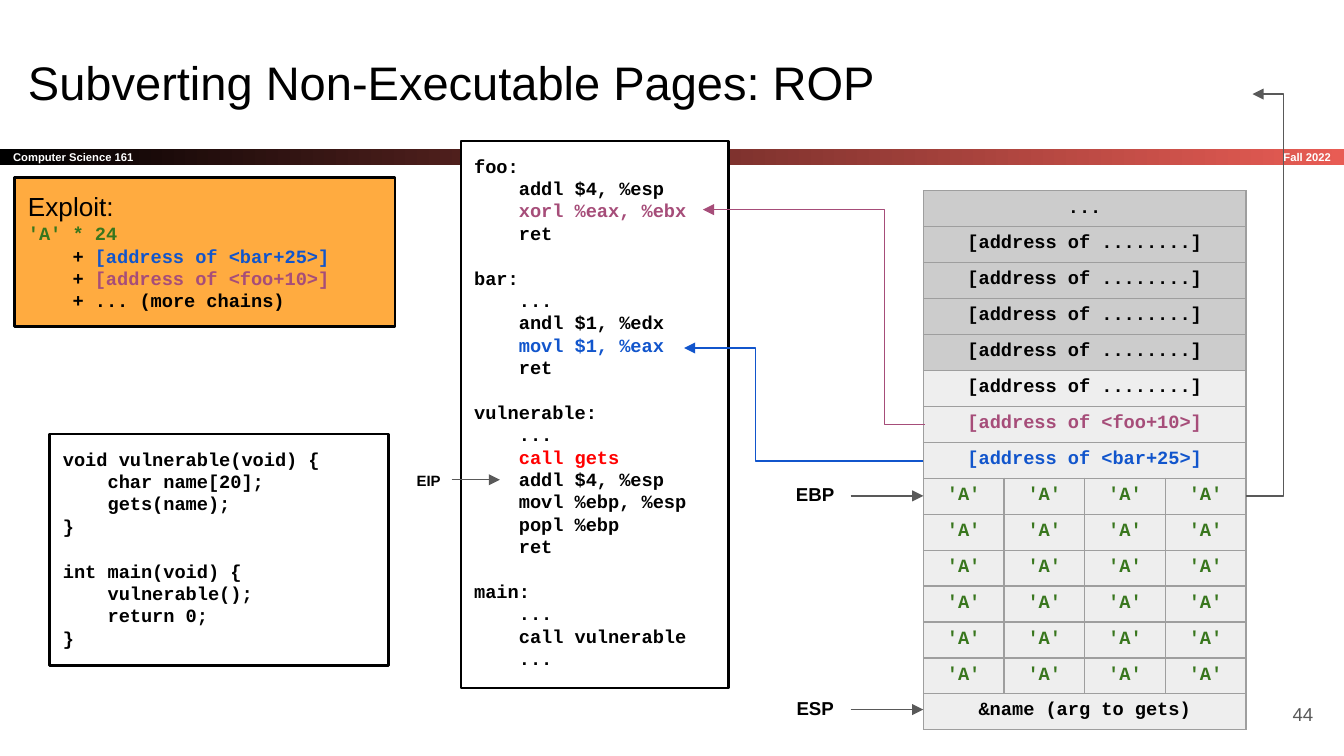
import pptx
import pptx.util
import pptx.dml.color
import pptx.enum.shapes
import pptx.enum.text
import pptx.oxml
import pptx.oxml.ns

Inches, Pt = pptx.util.Inches, pptx.util.Pt
Align, Anchor = pptx.enum.text.PP_ALIGN, pptx.enum.text.MSO_ANCHOR

THEME = {
    "black": "000000", "white": "FFFFFF", "grey": "595959", "border": "9E9E9E",
    "dark_cell": "CCCCCC", "light_cell": "EEEEEE", "orange": "FFAB40", "band_end": "E85C54",
    "red": "FF0000", "blue": "1155CC", "purple": "A64D79", "green": "38761D",
    "thin": Pt(0.75), "thick": Pt(1.5), "code_step": Pt(12),
    "title": {"name": "Arial", "size": Pt(25.2), "bold": False},
    "heading": {"name": "Arial", "size": Pt(14), "bold": False},
    "number": {"name": "Arial", "size": Pt(10), "bold": False},
    "label": {"name": "Arial", "size": Pt(10), "bold": True},
    "small_label": {"name": "Arial", "size": Pt(8), "bold": True},
    "band": {"name": "Arial", "size": Pt(6), "bold": True},
    "code": {"name": "Courier New", "size": Pt(10), "bold": True},
}

SLIDE_WIDTH = 10
SLIDE_HEIGHT = SLIDE_WIDTH * 9 / 16

LABELS = [
    ("Fall 2022", (8.34, 1.11, 1.66, 0.12), "band", "white", Align.RIGHT, Anchor.MIDDLE, (0.1, 0)),
    ("Subverting Non-Executable Pages: ROP", (0.11, 0.29, 9.32, 0.63), "title", "black",
     Align.LEFT, Anchor.BOTTOM, (0.1, 0.1)),
    ("ESP", (5.8, 5.1, 0.53, 0.37), "label", "black", Align.CENTER, Anchor.TOP, (0.1, 0.1)),
    ("EBP", (5.8, 3.51, 0.53, 0.37), "label", "black", Align.CENTER, Anchor.TOP, (0.1, 0.1)),
    ("EIP", (3.02, 3.46, 0.34, 0.24), "small_label", "black", Align.CENTER, Anchor.TOP, (0.05, 0.05)),
    ("44", (9.27, 5.1, 0.6, 0.43), "number", "grey", Align.RIGHT, Anchor.MIDDLE, (0.1, 0.1)),
]

BREAK = ("\n", "black")
EXPLOIT = [[
    [("'A' * 24", "green"), BREAK, ("    + ", "black"), ("[address of <bar+25>]", "blue")],
    [("    + ", "black"), ("[address of <foo+10>]", "purple")],
    "    + ... (more chains)",
]]
ASSEMBLY = [
    ["foo:", "    addl $4, %esp", [("    xorl %eax, %ebx", "purple")], "    ret"],
    ["bar:", "    ...", "    andl $1, %edx", [("    movl $1, %eax", "blue")], "    ret"],
    ["vulnerable:", "    ...", [("    call gets", "red"), BREAK, ("    addl $4, %esp", "black")],
     "    movl %ebp, %esp", "    popl %ebp", "    ret"],
    ["main:", "    ...", "    call vulnerable", "    ..."],
]
SOURCE = [
    ["void vulnerable(void) {", "    char name[20];", "    gets(name);", "}"],
    ["int main(void) {", "    vulnerable();", "    return 0;", "}"],
]
PANELS = [
    ("Exploit:", EXPLOIT, (0.11, 1.32, 2.83, 1.11), "orange"),
    (None, ASSEMBLY, (3.43, 1.05, 1.99, 4.07), "white"),
    (None, SOURCE, (0.37, 3.23, 2.52, 1.72), "white"),
]

ADDRESS = "[address of ........]"
STACK = (
    [("...", "black", "dark_cell", 1)]
    + [(ADDRESS, "black", "dark_cell", 1)] * 4
    + [(ADDRESS, "black", "light_cell", 1),
       ("[address of <foo+10>]", "purple", "light_cell", 1),
       ("[address of <bar+25>]", "blue", "light_cell", 1)]
    + [("'A'", "green", "light_cell", 4)] * 6
    + [("&name (arg to gets)", "black", "light_cell", 1)]
)
STACK_AREA = (6.87, 1.42, 2.4, 4)
STACK_COLUMNS = 4

POINTERS = [(3.36, 3.72, 3.57), (6.33, 6.87, 3.69), (6.33, 6.87, 5.28)]
JUMPS = [
    ([(9.27, 3.69), (9.55, 3.69), (9.55, 0.7), (9.32, 0.7)], "grey"),
    ([(6.88, 3.16), (6.58, 3.16), (6.58, 1.56), (5.23, 1.56)], "purple"),
    ([(6.87, 3.43), (5.62, 3.43), (5.62, 2.59), (5.09, 2.59)], "blue"),
]


def color(key):
    return pptx.dml.color.RGBColor.from_string(THEME[key])


def add_span(para, text, style, key):
    if text == "\n":
        para.add_line_break()
        return
    span = para.add_run()
    span.text = text
    for name, value in THEME[style].items():
        setattr(span.font, name, value)
    span.font.color.rgb = color(key)


def set_frame(frame, anchor, insets):
    across, down = map(Inches, insets)
    values = {"word_wrap": True, "vertical_anchor": anchor, "margin_left": across,
              "margin_right": across, "margin_top": down, "margin_bottom": down}
    for name, value in values.items():
        setattr(frame, name, value)


def add_box(page, area, fill=None):
    box = page.shapes.add_shape(pptx.enum.shapes.MSO_SHAPE.RECTANGLE, *map(Inches, area))
    box.shadow.inherit = False
    if fill:
        box.fill.solid()
        box.fill.fore_color.rgb = color(fill)
        box.line.color.rgb = color("black")
        box.line.width = THEME["thick"]
    return box


def add_band(page):
    band = add_box(page, (0, 1.11, SLIDE_WIDTH, 0.12))
    band.line.fill.background()
    band.fill.gradient()
    band.fill.gradient_angle = 0
    for stop, key, position in zip(band.fill.gradient_stops, ("black", "band_end"), (0, 1)):
        stop.color.rgb = color(key)
        stop.position = position
    set_frame(band.text_frame, Anchor.MIDDLE, (0.1, 0))
    para = band.text_frame.paragraphs[0]
    para.alignment = Align.LEFT
    add_span(para, "Computer Science 161", "band", "white")


def add_label(page, text, area, style, key, align, anchor, insets):
    box = page.shapes.add_textbox(*map(Inches, area))
    set_frame(box.text_frame, anchor, insets)
    para = box.text_frame.paragraphs[0]
    para.alignment = align
    add_span(para, text, style, key)


def add_panel(page, heading, blocks, area, fill):
    frame = add_box(page, area, fill).text_frame
    set_frame(frame, Anchor.TOP, (0.1, 0.1))
    para = frame.paragraphs[0]
    para.alignment = Align.LEFT
    fresh = True
    if heading:
        add_span(para, heading, "heading", "black")
        fresh = False
    for block_index, block in enumerate(blocks):
        for line_index, line in enumerate(block):
            para = para if fresh else frame.add_paragraph()
            fresh = False
            para.alignment = Align.LEFT
            para.line_spacing = THEME["code_step"]
            if block_index and not line_index:
                para.space_before = THEME["code_step"]
            for text, key in [(line, "black")] if isinstance(line, str) else line:
                add_span(para, text, "code", key)


def add_borders(cell):
    properties = cell._tc.get_or_add_tcPr()
    for side in ("lnL", "lnR", "lnT", "lnB"):
        properties.append(pptx.oxml.parse_xml(
            f'<a:{side} {pptx.oxml.ns.nsdecls("a")} w="{THEME["thin"]}"><a:solidFill>'
            f'<a:srgbClr val="{THEME["border"]}"/></a:solidFill></a:{side}>'))


def add_stack(page):
    table = page.shapes.add_table(len(STACK), STACK_COLUMNS, *map(Inches, STACK_AREA)).table
    table.first_row = table.horz_banding = False
    for column in table.columns:
        column.width = Inches(STACK_AREA[2] / STACK_COLUMNS)
    for index, (text, key, fill, count) in enumerate(STACK):
        table.rows[index].height = Inches(STACK_AREA[3] / len(STACK))
        if count == 1:
            table.cell(index, 0).merge(table.cell(index, STACK_COLUMNS - 1))
        for position, cell in enumerate(table.rows[index].cells):
            add_borders(cell)
            cell.fill.solid()
            cell.fill.fore_color.rgb = color(fill)
            set_frame(cell, Anchor.TOP, (0.05, 0.05))
            if position < count:
                para = cell.text_frame.paragraphs[0]
                para.alignment = Align.CENTER
                add_span(para, text, "code", key)


def finish_arrow(arrow, key):
    arrow.line.color.rgb = color(key)
    arrow.line.width = THEME["thin"]
    namespace = pptx.oxml.ns.nsdecls("a")
    arrow.line._get_or_add_ln().append(pptx.oxml.parse_xml(f'<a:tailEnd {namespace} type="triangle"/>'))
    arrow._element.spPr.append(pptx.oxml.parse_xml(f"<a:effectLst {namespace}/>"))


def add_pointer(page, start, end, y):
    straight = pptx.enum.shapes.MSO_CONNECTOR.STRAIGHT
    finish_arrow(page.shapes.add_connector(straight, *map(Inches, (start, y, end, y))), "grey")


def add_jump(page, points, key):
    first, *rest = [tuple(map(Inches, point)) for point in points]
    builder = page.shapes.build_freeform(*first, scale=1.0)
    builder.add_line_segments(rest, close=False)
    jump = builder.convert_to_shape()
    jump.fill.background()
    finish_arrow(jump, key)


deck = pptx.Presentation()
deck.slide_width, deck.slide_height = Inches(SLIDE_WIDTH), Inches(SLIDE_HEIGHT)
page = deck.slides.add_slide(deck.slide_layouts[6])
add_band(page)
for label in LABELS:
    add_label(page, *label)
for panel in PANELS:
    add_panel(page, *panel)
add_stack(page)
for pointer in POINTERS:
    add_pointer(page, *pointer)
for jump in JUMPS:
    add_jump(page, *jump)
deck.save("out.pptx")
